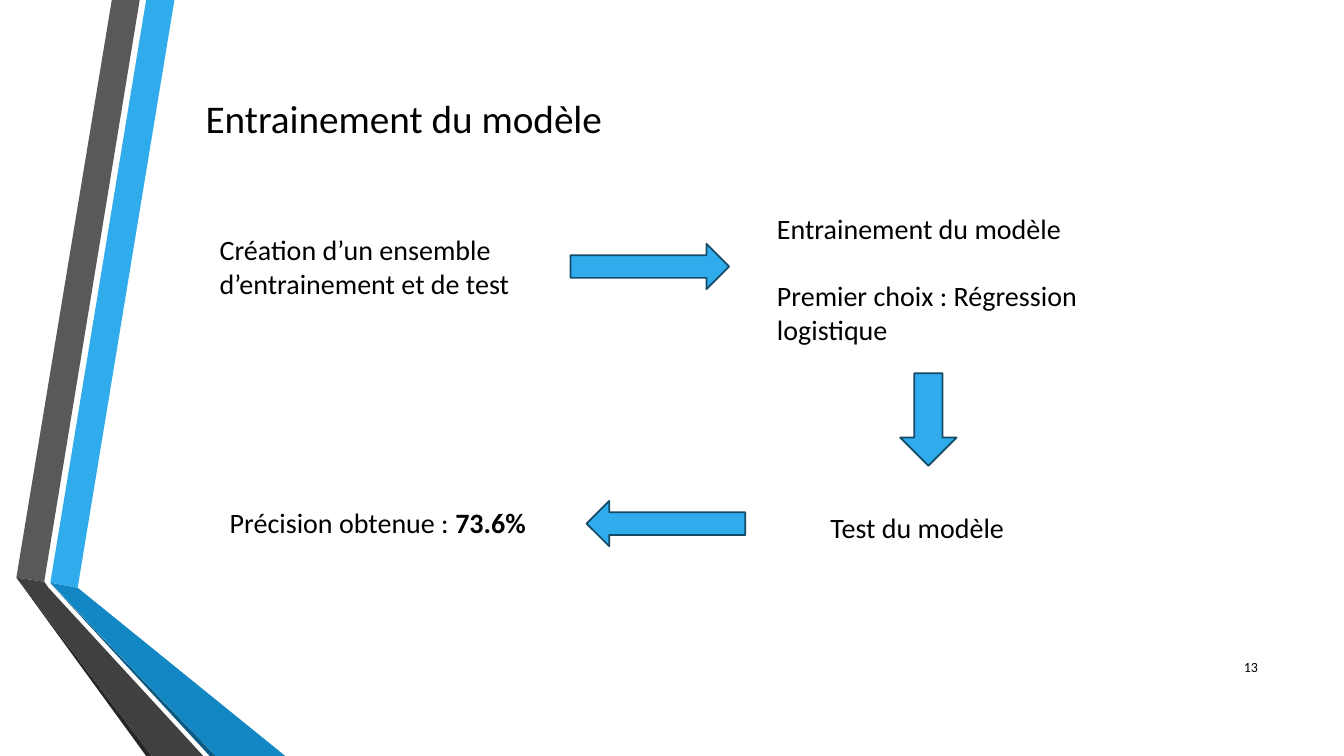
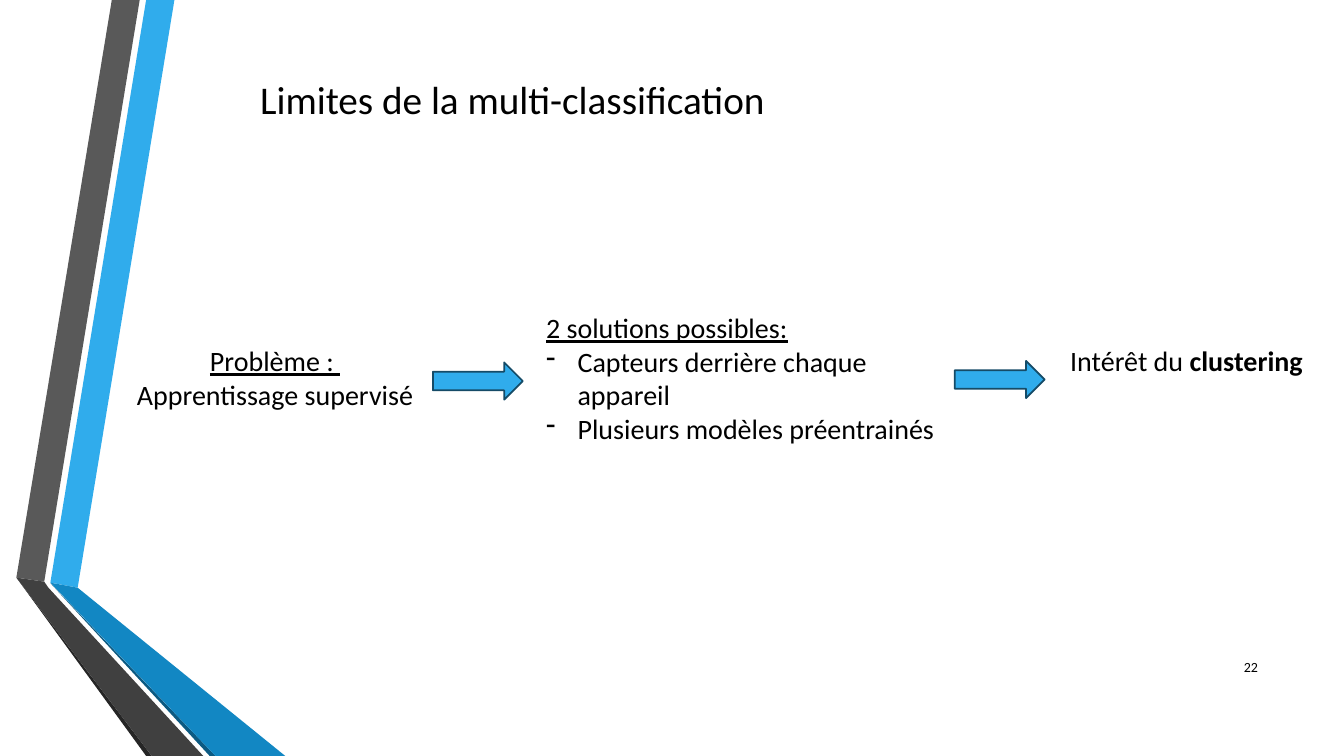
from dataclasses import dataclass, field

from lxml import etree
from pptx import Presentation
from pptx.dml.color import RGBColor
from pptx.enum import shapes, text
from pptx.oxml import ns
from pptx.util import Pt


@dataclass(frozen=True)
class Theme:
    font: str = "Calibri"
    ink: str = "000000"
    blue: str = "30ACEC"
    edge: str = "154B67"
    deep: str = "1287C3"
    navy: str = "0C5A82"
    gray: str = "595959"
    dark: str = "404040"
    black: str = "262626"
    title: int = 28
    body: int = 20
    small: int = 10
    line: float = 1.25
    indent: float = 22.5


@dataclass(frozen=True)
class Box:
    x: float
    y: float
    w: float
    h: float

    def lengths(self) -> tuple[Pt, Pt, Pt, Pt]:
        return Pt(self.x), Pt(self.y), Pt(self.w), Pt(self.h)


@dataclass(frozen=True)
class Span:
    words: str
    bold: bool = False
    under: bool = False


@dataclass(frozen=True)
class Para:
    spans: list[Span]
    align: text.PP_ALIGN = text.PP_ALIGN.LEFT
    before: float = 0
    bullet: str = ""


@dataclass(frozen=True)
class Note:
    box: Box
    paras: list[Para]


@dataclass(frozen=True)
class Arrow:
    box: Box
    turn: int = 0


@dataclass(frozen=True)
class Band:
    color: str
    points: list[tuple[float, float]]


@dataclass(frozen=True)
class Page:
    title: str
    box: Box
    number: int
    notes: list[Note] = field(default_factory=list)
    arrows: list[Arrow] = field(default_factory=list)


THEME = Theme()
WIDTH, HEIGHT = 960, 540
FOLIO = Box(862.5, 462.2, 43.2, 28.8)
CENTER = text.PP_ALIGN.CENTER

BANDS = [
    Band(THEME.blue, [(36, 416.2), (55.5, 419.8), (124.6, 0), (104.4, 0)]),
    Band(THEME.gray, [(99.8, 0), (79.9, 0), (11.7, 412.6), (31.6, 415.5)]),
    Band(THEME.black, [(11.7, 412.6), (104.4, HEIGHT), (108.4, HEIGHT)]),
    Band(THEME.navy, [(36, 416.6), (149.8, HEIGHT), (154, HEIGHT)]),
    Band(THEME.deep, [(36, 416.2), (154, HEIGHT), (203.8, HEIGHT), (55.5, 419.8)]),
    Band(THEME.dark, [(145.2, HEIGHT), (34.6, 419.8), (31.6, 415.5),
                      (11.7, 412.6), (108.4, HEIGHT)]),
]

PAGES = [
    Page(
        "Entrainement du modèle", Box(139.7, 64.1, 363.6, 41.2), 13,
        [
            Note(Box(149.8, 162.7, 270.7, 55.7),
                 [Para([Span("Création d’un ensemble d’entrainement et de test")])]),
            Note(Box(547.9, 147.6, 270.7, 104.4),
                 [Para([Span("Entrainement du modèle")]),
                  Para([Span("Premier choix : Régression logistique")], before=24)]),
            Note(Box(586.1, 361.4, 270.7, 31.5), [Para([Span("Test du modèle")])]),
            Note(Box(157, 357.8, 289.4, 31.5),
                 [Para([Span("Précision obtenue : "), Span("73.6%", bold=True)])]),
        ],
        [
            Arrow(Box(407.5, 174.2, 113.3, 32.4)),
            Arrow(Box(630, 279.5, 66.2, 40.3), 90),
            Arrow(Box(419, 357.8, 113.3, 32.4), 180),
        ],
    ),
    Page(
        "Limites de la multi-classification", Box(178.6, 50.4, 417.6, 41.2), 22,
        [
            Note(Box(79.9, 241.9, 233.3, 55.7),
                 [Para([Span("Problème : ", under=True)], CENTER),
                  Para([Span("Apprentissage supervisé")], CENTER)]),
            Note(Box(383, 218.2, 299.5, 104.4),
                 [Para([Span("2 solutions possibles:", under=True)]),
                  Para([Span("Capteurs derrière chaque appareil")], bullet="-"),
                  Para([Span("Plusieurs modèles préentrainés")], bullet="-")]),
            Note(Box(757.4, 241.9, 182.9, 55.7),
                 [Para([Span("Intérêt du "), Span("clustering", bold=True)])]),
        ],
        [
            Arrow(Box(309.2, 258.9, 64.2, 26.6)),
            Arrow(Box(682, 257.8, 64.2, 26.6)),
        ],
    ),
]


def rgb(code: str) -> RGBColor:
    return RGBColor.from_string(code)


def paint(shape, color: str) -> None:
    shape.shadow.inherit = False
    shape.fill.solid()
    shape.fill.fore_color.rgb = rgb(color)


def mark(para, sign: str) -> None:
    """Give a paragraph a hanging bullet."""
    props = para._p.get_or_add_pPr()
    props.set("marL", str(Pt(THEME.indent)))
    props.set("indent", str(-Pt(THEME.indent)))
    etree.SubElement(props, ns.qn("a:buChar")).set("char", sign)


def write(frame, paras: list[Para], size: int) -> None:
    frame.word_wrap = True
    frame.vertical_anchor = text.MSO_ANCHOR.TOP
    frame.auto_size = text.MSO_AUTO_SIZE.SHAPE_TO_FIT_TEXT
    for i, item in enumerate(paras):
        para = frame.add_paragraph() if i else frame.paragraphs[0]
        para.alignment = item.align
        para.space_before = Pt(item.before)
        if item.bullet:
            mark(para, item.bullet)
        for span in item.spans:
            run = para.add_run()
            run.text = span.words
            font = run.font
            font.name, font.size = THEME.font, Pt(size)
            font.bold, font.underline = span.bold, span.under
            font.color.rgb = rgb(THEME.ink)


def add_note(slide, note: Note, size: int = THEME.body):
    frame = slide.shapes.add_textbox(*note.box.lengths()).text_frame
    write(frame, note.paras, size)
    return frame


def add_arrow(slide, arrow: Arrow) -> None:
    shape = slide.shapes.add_shape(
        shapes.MSO_SHAPE.RIGHT_ARROW, *arrow.box.lengths())
    paint(shape, THEME.blue)
    shape.line.color.rgb = rgb(THEME.edge)
    shape.line.width = Pt(THEME.line)
    shape.rotation = arrow.turn


def add_bands(slide) -> None:
    """Draw the ribbons and move them to the layout the slides share."""
    tree = slide.slide_layout.shapes.element
    for i, band in enumerate(BANDS):
        first, *rest = [(Pt(x), Pt(y)) for x, y in band.points]
        pen = slide.shapes.build_freeform(*first)
        pen.add_line_segments(rest, close=True)
        shape = pen.convert_to_shape()
        paint(shape, band.color)
        shape.line.fill.background()
        shape.element.nvSpPr.cNvPr.id = 20 + i
        tree.append(shape.element)


def add_page(deck, page: Page):
    slide = deck.slides.add_slide(deck.slide_layouts[5])
    title = slide.shapes.title
    title.left, title.top, title.width, title.height = page.box.lengths()
    write(title.text_frame, [Para([Span(page.title)])], THEME.title)
    for note in page.notes:
        add_note(slide, note)
    for arrow in page.arrows:
        add_arrow(slide, arrow)
    folio = Para([Span(str(page.number))], text.PP_ALIGN.RIGHT)
    frame = add_note(slide, Note(FOLIO, [folio]), THEME.small)
    frame.auto_size = text.MSO_AUTO_SIZE.NONE
    frame.vertical_anchor = text.MSO_ANCHOR.MIDDLE
    return slide


def main() -> None:
    deck = Presentation()
    deck.slide_width, deck.slide_height = Pt(WIDTH), Pt(HEIGHT)
    slides = [add_page(deck, page) for page in PAGES]
    add_bands(slides[0])
    deck.save("out.pptx")


if __name__ == "__main__":
    main()
